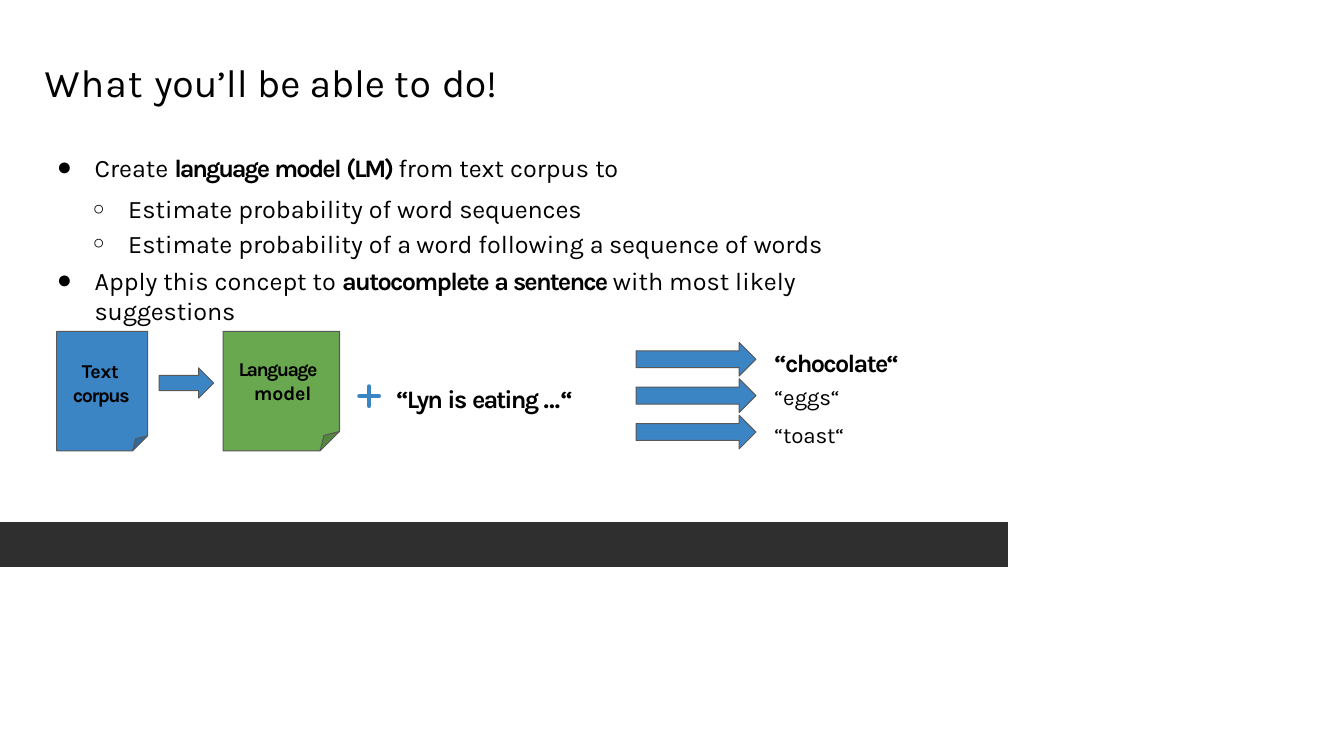
from lxml.etree import SubElement
from pptx import Presentation
from pptx.dml.color import RGBColor
from pptx.enum.shapes import MSO_CONNECTOR as Connector, MSO_SHAPE as Shape
from pptx.enum.text import MSO_ANCHOR as Anchor, MSO_AUTO_SIZE as AutoSize, PP_ALIGN as Align
from pptx.oxml.ns import qn
from pptx.util import Pt

BLACK = RGBColor(0x00, 0x00, 0x00)
CHARCOAL = RGBColor(0x2F, 0x2F, 0x2F)
GREY = RGBColor(0x58, 0x58, 0x58)
BLUE = RGBColor(0x3C, 0x85, 0xC5)
GREEN = RGBColor(0x6A, 0xA8, 0x4F)


class SlideBuilder:
    font = "Karla"
    outline = 0.75

    def __init__(self, slide):
        self.slide = slide

    def place(self, shape, left, top, width, height):
        shape.left, shape.top = Pt(left), Pt(top)
        shape.width, shape.height = Pt(width), Pt(height)

    def frame(self, shape, left=0, top=0, right=0):
        frame = shape.text_frame
        frame.word_wrap = True
        frame.auto_size = AutoSize.NONE
        frame.vertical_anchor = Anchor.TOP
        frame.margin_left, frame.margin_top = Pt(left), Pt(top)
        frame.margin_right, frame.margin_bottom = Pt(right), Pt(0)
        return frame

    def paragraph(self, paragraph, pieces, size, before, margin=1, indent=0, bold=False):
        paragraph.alignment = Align.LEFT
        paragraph.space_before = Pt(before)
        properties = paragraph._p.get_or_add_pPr()
        properties.set("marL", str(Pt(margin)))
        properties.set("indent", str(Pt(indent)))
        for text, spacing, *weight in pieces:
            run = paragraph.add_run()
            run.text = text
            run.font.name = self.font
            run.font.size = Pt(size)
            run.font.bold = weight[0] if weight else bold
            run.font.color.rgb = BLACK
            run._r.get_or_add_rPr().set("spc", str(round(spacing * 100)))

    def title(self, box, pieces):
        title = self.slide.shapes.title
        self.place(title, *box)
        self.paragraph(self.frame(title, top=13.7).paragraphs[0], pieces, 28, 0.9, 10.8)

    def bullets(self, box, items):
        body = self.slide.placeholders[1]
        self.place(body, *box)
        frame = self.frame(body, top=8.6)
        for number, (level, before, pieces) in enumerate(items):
            item = frame.add_paragraph() if number else frame.paragraphs[0]
            item.level = level
            margin, indent, mark = (52, -25.2, "○") if level else (28, -27, "●")
            self.paragraph(item, pieces, 18, before, margin, indent)
            properties = item._p.get_or_add_pPr()
            if level:
                SubElement(properties, qn("a:buSzPct")).set("val", "78000")
            SubElement(properties, qn("a:buChar")).set("char", mark)

    def text(self, box, inset, lines):
        label = self.slide.shapes.add_textbox(*map(Pt, box))
        frame = self.frame(label, top=inset)
        for number, (pieces, size, before, bold) in enumerate(lines):
            line = frame.add_paragraph() if number else frame.paragraphs[0]
            self.paragraph(line, pieces, size, before, bold=bold)

    def shape(self, kind, box, fill, outlined=True):
        shape = self.slide.shapes.add_shape(kind, *map(Pt, box))
        shape.shadow.inherit = False
        shape.fill.solid()
        shape.fill.fore_color.rgb = fill
        if outlined:
            shape.line.color.rgb = GREY
            shape.line.width = Pt(self.outline)
        else:
            shape.line.fill.background()
        return shape

    def arrow(self, *box):
        self.shape(Shape.RIGHT_ARROW, box, BLUE)

    def note(self, box, fill, pieces, inset, margin, indent):
        note = self.shape(Shape.FOLDED_CORNER, box, fill)
        frame = self.frame(note, 10.5, inset, 10)
        self.paragraph(frame.paragraphs[0], pieces, 14, 1, margin, indent, True)

    def plus(self, x, y, reach):
        for dx, dy in ((reach, 0), (0, reach)):
            stroke = self.slide.shapes.add_connector(
                Connector.STRAIGHT, Pt(x - dx), Pt(y - dy), Pt(x + dx), Pt(y + dy))
            stroke.line.color.rgb = BLUE
            stroke.line.width = Pt(3)
            properties = stroke._element.spPr
            properties.find(qn("a:ln")).set("cap", "rnd")
            SubElement(properties, qn("a:effectLst"))


def main():
    deck = Presentation()
    deck.slide_width, deck.slide_height = Pt(960), Pt(540)
    builder = SlideBuilder(deck.slides.add_slide(deck.slide_layouts[1]))

    builder.shape(Shape.RECTANGLE, (0, 373, 720, 32), CHARCOAL, outlined=False)
    builder.title((21, 28, 919, 45), [
        ("What ", 0.8), ("you’ll be ", 0), ("able ", -0.1), ("to ", 0.6), ("do!", -0.2)])
    builder.bullets((39.6, 100, 630, 112.5), [
        (0, 8.8, [("Create ", 0), ("language ", -1.6, True), ("model ", -1.3, True),
                  ("(LM) ", -1.6, True), ("from text corpus ", 0), ("to", -0.2)]),
        (1, 7.8, [("Estimate probability of word", 0), (" sequences", -0.1)]),
        (1, 3.2, [("Estimate probability of ", 0), ("a ", -0.6), ("word following ", 0),
                  ("a ", -0.6), ("sequence of ", 0), ("words", -0.1)]),
        (0, 5, [("Apply this concept to ", 0), ("autocomplete ", -1.2, True),
                ("a ", -1.8, True), ("sentence ", -1.3, True),
                ("with most likely", 0), (" suggestions", -0.1)]),
    ])

    builder.note((40.5, 236.7, 65, 85.4), BLUE,
                 [("Text ", -0.2), ("corpus", -1)], 20, 1, 6.5)
    builder.arrow(113.7, 262.8, 39, 21.6)
    builder.note((159.3, 236.7, 83.2, 85.4), GREEN,
                 [("Language ", -1.2), ("model", -0.1)], 18.5, 11.5, -10.8)
    builder.plus(263.7, 283, 7)
    builder.text((282.2, 272.9, 139, 24), 0.7, [
        ([("“Lyn ", -1.4), ("is ", -1.1), ("eating ", -1.4), ("… ", -4.2), ("“", -0.5)],
         18, 1, True)])
    for row in range(3):
        builder.arrow(454.3, 244.6 + 26 * row, 85.7, 24)
    builder.text((552.2, 242, 93.6, 79), 5.8, [
        ([("“chocolate“", -1.2)], 18, 5.8, True),
        ([("“eggs“", -0.1)], 16, 4.3, False),
        ([("“toast“", -0.1)], 16, 7.9, False)])
    deck.save("out.pptx")


if __name__ == "__main__":
    main()
